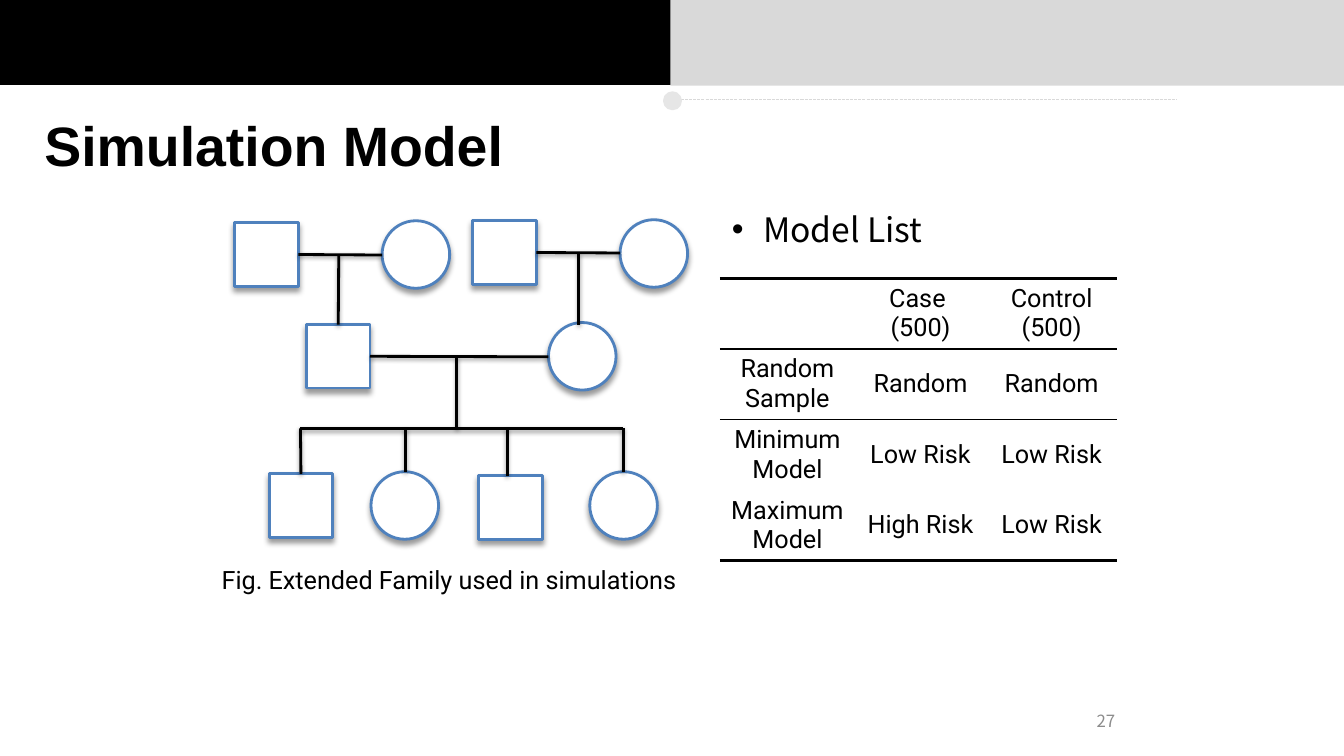
"""Build the simulation model slide with its family tree and model table."""
from dataclasses import dataclass
from typing import Any, Optional

import lxml.etree
import pptx
import pptx.dml.color
import pptx.enum.dml
import pptx.enum.shapes
import pptx.enum.text
import pptx.oxml.ns
import pptx.util

Inches = pptx.util.Inches
Pt = pptx.util.Pt
Shape = pptx.enum.shapes.MSO_SHAPE
Align = pptx.enum.text.PP_ALIGN
Anchor = pptx.enum.text.MSO_ANCHOR
qn = pptx.oxml.ns.qn

BLACK, WHITE, BLUE, GREY = "000000", "FFFFFF", "4F81BD", "D9D9D9"
SANS, BODY = "Noto Sans CJK KR", "Roboto"
NO_STYLE = "{2D5ABB26-0587-4C30-8999-92F81FD0307C}"
MAN, WOMAN = 0.63, 0.67


@dataclass
class Kin:
    name: str
    male: bool
    x: float
    y: float


@dataclass
class Link:
    x1: float
    y1: float
    x2: float
    y2: float
    kin: str = ""
    side: int = 0


@dataclass
class Label:
    text: str
    x: float
    y: float
    w: float
    h: float
    size: float
    font: str
    color: str = BLACK
    align: Any = Align.LEFT
    anchor: Any = Anchor.TOP


FAMILY = [
    Kin("grandpa 1", True, 2.33, 2.21), Kin("grandma 1", False, 3.79, 2.19),
    Kin("grandpa 2", True, 4.69, 2.19), Kin("grandma 2", False, 6.15, 2.18),
    Kin("father", True, 3.04, 3.22), Kin("mother", False, 5.44, 3.2),
    Kin("son 1", True, 2.67, 4.7), Kin("daughter 1", False, 3.68, 4.68),
    Kin("son 2", True, 4.75, 4.72), Kin("daughter 2", False, 5.85, 4.68),
]
LINKS = [
    Link(2.96, 2.53, 3.79, 2.53, "grandpa 1", 3),
    Link(5.32, 2.51, 6.15, 2.51, "grandpa 2", 3),
    Link(3.36, 3.22, 3.36, 2.53, "father", 0),
    Link(5.74, 2.51, 5.74, 3.22),
    Link(3.67, 3.54, 5.44, 3.54, "father", 3),
    Link(4.53, 3.54, 4.53, 4.25),
    Link(2.98, 4.25, 6.18, 4.25),
    Link(2.98, 4.7, 2.98, 4.25, "son 1", 0),
    Link(4.02, 4.68, 4.02, 4.25),
    Link(5.03, 4.72, 5.03, 4.25),
    Link(6.18, 4.68, 6.18, 4.25),
]
CAPTION = Label("Fig. Extended Family used in simulations",
                2.1, 5.55, 4.96, 0.4, 18, BODY)
LISTING = Label("Model List", 7.16, 2.02, 2.3, 0.5, 24, SANS)
NUMBER = Label("27", 8.83, 6.95, 2.33, 0.4, 12, SANS, "8C8C8C",
               Align.RIGHT, Anchor.MIDDLE)
MODELS = [
    ["", "Case \n(500)", "Control (500)"],
    ["Random\nSample", "Random", "Random"],
    ["Minimum Model", "Low Risk", "Low Risk"],
    ["Maximum Model", "High Risk", "Low Risk"],
]
WIDTHS = [1.34, 1.3, 1.3]
RULES = [2.25, 1.5, 1, 0, 2.25]


def rgb(code: str) -> pptx.dml.color.RGBColor:
    return pptx.dml.color.RGBColor.from_string(code)


def style(para: Any, size: float, name: str, color: str, align: Any) -> None:
    para.alignment = align
    para.font.size = Pt(size)
    para.font.name = name
    para.font.color.rgb = rgb(color)


def shade(item: Any, alpha: int, blur: float, dist: float) -> None:
    effects = item._element.spPr.find(qn("a:effectLst"))
    outer = lxml.etree.SubElement(
        effects, qn("a:outerShdw"), blurRad=str(Pt(blur)), dist=str(Pt(dist)),
        dir="5400000", rotWithShape="0")
    tint = lxml.etree.SubElement(outer, qn("a:srgbClr"), val=BLACK)
    lxml.etree.SubElement(tint, qn("a:alpha"), val=str(alpha * 1000))


def draw(slide: Any, form: Any, x: float, y: float, w: float, h: float,
         fill: str, edge: Optional[str], width: float = 2) -> Any:
    shape = slide.shapes.add_shape(form, Inches(x), Inches(y), Inches(w), Inches(h))
    shape.fill.solid()
    shape.fill.fore_color.rgb = rgb(fill)
    if edge:
        shape.line.color.rgb = rgb(edge)
        shape.line.width = Pt(width)
    else:
        shape.line.fill.background()
    shape.shadow.inherit = False
    return shape


def join(slide: Any, link: Link, color: str, width: float) -> Any:
    wire = slide.shapes.add_connector(
        pptx.enum.shapes.MSO_CONNECTOR.STRAIGHT, Inches(link.x1),
        Inches(link.y1), Inches(link.x2), Inches(link.y2))
    wire.line.color.rgb = rgb(color)
    wire.line.width = Pt(width)
    lxml.etree.SubElement(wire._element.spPr, qn("a:effectLst"))
    return wire


def write(slide: Any, label: Label) -> Any:
    box = slide.shapes.add_textbox(Inches(label.x), Inches(label.y),
                                   Inches(label.w), Inches(label.h))
    frame = box.text_frame
    frame.word_wrap = True
    frame.vertical_anchor = label.anchor
    para = frame.paragraphs[0]
    para.text = label.text
    style(para, label.size, label.font, label.color, label.align)
    return para


def bullet(para: Any) -> None:
    props = para._p.get_or_add_pPr()
    props.set("marL", str(Inches(0.31)))
    props.set("indent", str(Inches(-0.31)))
    lxml.etree.SubElement(props, qn("a:buFont"), typeface="Arial")
    lxml.etree.SubElement(props, qn("a:buChar"), char="•")


def rule(cell: Any, tag: str, width: float) -> None:
    edge = lxml.etree.SubElement(cell._tc.get_or_add_tcPr(), qn(tag),
                                 w=str(Pt(width)))
    if width:
        fill = lxml.etree.SubElement(edge, qn("a:solidFill"))
        lxml.etree.SubElement(fill, qn("a:srgbClr"), val=BLACK)
    else:
        lxml.etree.SubElement(edge, qn("a:noFill"))


def head(slide: Any) -> None:
    draw(slide, Shape.RECTANGLE, 0, 0, 6.65, 0.84, BLACK, BLACK, 0.75)
    draw(slide, Shape.RECTANGLE, 6.65, 0, 6.69, 0.85, GREY, None)
    wire = join(slide, Link(6.67, 0.99, 11.67, 0.99), GREY, 0.75)
    wire.line.dash_style = pptx.enum.dml.MSO_LINE.SQUARE_DOT
    draw(slide, Shape.OVAL, 6.59, 0.92, 0.16, 0.16, "E6E6E6", "E6E6E6")
    title = slide.shapes.title
    title.left, title.top = Inches(0.34), Inches(1.04)
    title.width, title.height = Inches(12), Inches(0.79)
    frame = title.text_frame
    frame.text = "Simulation Model"
    frame.auto_size = pptx.enum.text.MSO_AUTO_SIZE.NONE
    frame.vertical_anchor = Anchor.MIDDLE
    style(frame.paragraphs[0], 39.6, "Arial", BLACK, Align.LEFT)
    frame.paragraphs[0].font.bold = True


def tree(slide: Any) -> None:
    people = {}
    for kin in FAMILY:
        form, size = (Shape.RECTANGLE, MAN) if kin.male else (Shape.OVAL, WOMAN)
        people[kin.name] = draw(slide, form, kin.x, kin.y, size, size, WHITE, BLUE)
        shade(people[kin.name], 40, 4, 3)
    for link in LINKS:
        wire = join(slide, link, BLACK, 2)
        shade(wire, 38, 3.1, 1.6)
        if link.kin:
            wire.begin_connect(people[link.kin], link.side)


def grid(slide: Any) -> None:
    table = slide.shapes.add_table(len(MODELS), len(WIDTHS), Inches(7.14),
                                   Inches(2.76), Inches(3.94), Inches(2.8)).table
    table.first_row = table.horz_banding = False
    table._tbl.tblPr.find(qn("a:tableStyleId")).text = NO_STYLE
    for col, width in zip(table.columns, WIDTHS):
        col.width = Inches(width)
    for r, row in enumerate(MODELS):
        for c, text in enumerate(row):
            cell = table.cell(r, c)
            cell.text = text
            cell.vertical_anchor = Anchor.MIDDLE
            rule(cell, "a:lnT", RULES[r])
            rule(cell, "a:lnB", RULES[r + 1])
            cell.fill.background()
            for para in cell.text_frame.paragraphs:
                style(para, 18, BODY, BLACK, Align.CENTER)


def main() -> None:
    deck = pptx.Presentation()
    deck.slide_width, deck.slide_height = Inches(13.33), Inches(7.5)
    slide = deck.slides.add_slide(deck.slide_layouts[5])
    head(slide)
    tree(slide)
    write(slide, CAPTION)
    grid(slide)
    bullet(write(slide, LISTING))
    write(slide, NUMBER)
    deck.save("out.pptx")


if __name__ == "__main__":
    main()
